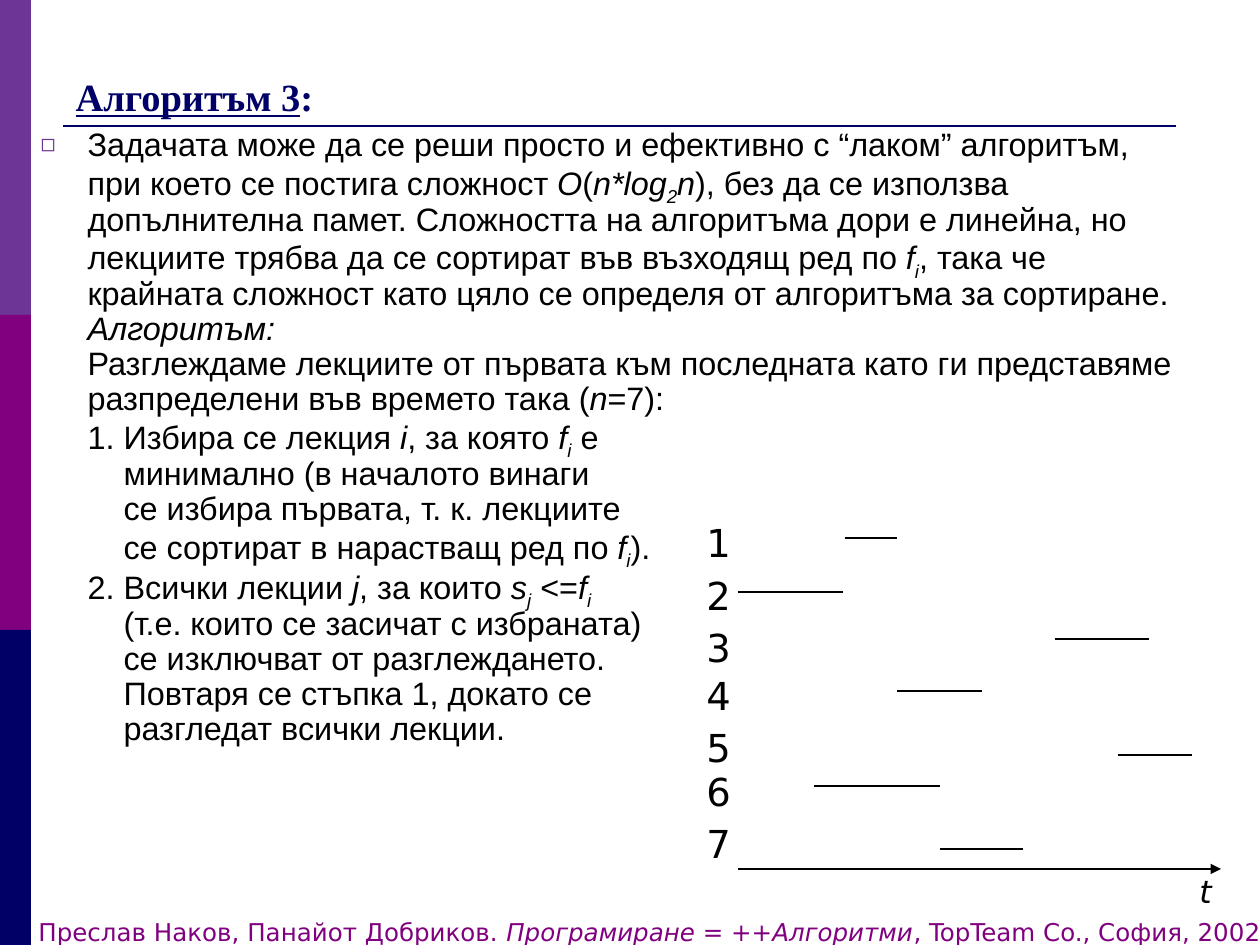
import pptx
import pptx.util
import pptx.dml.color
import pptx.enum.shapes
import pptx.enum.text
import pptx.oxml.ns
import lxml.etree

PX = 914400 / 126
COLORS = {"violet": "6D3696", "purple": "800080", "navy": "000066", "black": "000000"}
ANCHOR = pptx.enum.text.MSO_ANCHOR
LEFT = pptx.enum.text.PP_ALIGN.LEFT
LINE = pptx.enum.shapes.MSO_CONNECTOR.STRAIGHT
RECTANGLE = pptx.enum.shapes.MSO_SHAPE.RECTANGLE
qn = pptx.oxml.ns.qn


def write(paragraph, pieces, size, font, color):
    for text, style in pieces:
        for index, part in enumerate(text.split("\n")):
            if index:
                paragraph.add_line_break()
            if not part:
                continue
            run = paragraph.add_run()
            run.text = part
            run.font.size = pptx.util.Pt(size)
            run.font.name = font
            run.font.color.rgb = pptx.dml.color.RGBColor.from_string(COLORS[color])
            run.font.bold = "b" in style
            run.font.italic = "i" in style
            run.font.underline = "u" in style
            if "_" in style:
                run.font._element.set("baseline", "-25000")


def draw_line(shapes, x1, y1, x2, y2, color, width):
    line = shapes.add_connector(LINE, *(round(v * PX) for v in (x1, y1, x2, y2)))
    line.line.color.rgb = pptx.dml.color.RGBColor.from_string(COLORS[color])
    line.line.width = pptx.util.Pt(width)
    lxml.etree.SubElement(line._element.spPr, qn("a:effectLst"))
    return line


deck = pptx.Presentation()
deck.slide_width = round(1260 * PX)
deck.slide_height = round(945 * PX)
slide = deck.slides.add_slide(deck.slide_layouts[1])

for row, color in enumerate(("violet", "purple", "navy")):
    band = slide.shapes.add_shape(
        RECTANGLE, 0, round(315 * row * PX), round(31 * PX), round(315 * PX))
    band.shadow.inherit = False
    band.fill.solid()
    band.fill.fore_color.rgb = pptx.dml.color.RGBColor.from_string(COLORS[color])
    band.line.fill.background()
draw_line(slide.shapes, 63, 126, 1176, 126, "navy", 1.5)

title = slide.shapes.title
body = slide.placeholders[1]
for holder, box, anchor in (
    (title, (63, 38, 1134, 88), ANCHOR.BOTTOM),
    (body, (28, 122, 1169, 781), ANCHOR.TOP),
):
    holder.left, holder.top, holder.width, holder.height = (round(v * PX) for v in box)
    holder.text_frame.vertical_anchor = anchor
    holder.text_frame.word_wrap = True
    holder.text_frame.auto_size = pptx.enum.text.MSO_AUTO_SIZE.NONE

heading = title.text_frame.paragraphs[0]
heading.alignment = LEFT
write(heading, [("Алгоритъм 3", "bu"), (":", "b")], 22, "Times New Roman", "navy")

explanation = [
    ("square", 47, -47, [
        ("Задачата може да се реши просто и ефективно с “лаком” алгоритъм, "
         "при което се постига сложност ", ""),
        ("O", "i"), ("(", ""), ("n*log", "i"), ("2", "i_"), ("n", "i"),
        ("), без да се използва допълнителна памет. Сложността на алгоритъма "
         "дори е линейна, но лекциите трябва да се сортират във възходящ ред по ", ""),
        ("f", "i"), ("i", "i_"),
        (", така че крайната сложност като цяло се определя от алгоритъма "
         "за сортиране.", "")]),
    ("none", 47, 0, [("Алгоритъм:", "i")]),
    ("none", 47, 0, [
        ("Разглеждаме лекциите от първата към последната като ги представяме "
         "разпределени във времето така (", ""),
        ("n", "i"), ("=7):", "")]),
    ("number", 83, -36, [
        ("Избира се лекция ", ""), ("i", "i"), (", за която ", ""),
        ("f", "i"), ("i", "i_"),
        (" е\nминимално (в началото винаги\nсе избира първата, т. к. лекциите\n"
         "се сортират в нарастващ ред по ", ""),
        ("f", "i"), ("i", "i_"), (").", "")]),
    ("number", 83, -36, [
        ("Всички лекции ", ""), ("j", "i"), (", за които ", ""),
        ("s", "i"), ("j", "i_"), (" <=", ""), ("f", "i"), ("i", "i_"),
        ("\n(т.е. които се засичат с избраната)\nсе изключват от разглеждането.\n"
         "Повтаря се стъпка 1, докато се\nразгледат всички лекции.", "")]),
]
for index, (marker, margin, indent, pieces) in enumerate(explanation):
    paragraph = body.text_frame.add_paragraph() if index else body.text_frame.paragraphs[0]
    paragraph.alignment = LEFT
    paragraph.line_spacing = 0.9
    paragraph.space_before = pptx.util.Pt(0)
    properties = paragraph._p.get_or_add_pPr()
    properties.set("marL", str(round(margin * PX)))
    properties.set("indent", str(round(indent * PX)))
    if marker == "square":
        tint = lxml.etree.SubElement(properties, qn("a:buClr"))
        lxml.etree.SubElement(tint, qn("a:srgbClr"), val=COLORS["violet"])
        lxml.etree.SubElement(properties, qn("a:buSzPct"), val="75000")
        lxml.etree.SubElement(properties, qn("a:buChar"), char="◻")
    elif marker == "number":
        lxml.etree.SubElement(properties, qn("a:buFont"), typeface="Arial")
        lxml.etree.SubElement(properties, qn("a:buAutoNum"), type="arabicPeriod")
    else:
        lxml.etree.SubElement(properties, qn("a:buNone"))
    write(paragraph, pieces, 18.5, "Arial", "black")

timeline = slide.shapes.add_group_shape().shapes
lectures = [
    (513, 845, 897, 538),
    (566, 738, 843, 592),
    (618, 1055, 1149, 639),
    (666, 897, 982, 691),
    (718, 1118, 1192, 755),
    (762, 814, 940, 786),
    (814, 940, 1023, 849),
]
captions = []
for number, (label_top, start, finish, level) in enumerate(lectures, 1):
    draw_line(timeline, start, level, finish, level, "black", 0.75)
    captions.append((timeline, (694, label_top, 53, 59), [(str(number), "")], 22, "black"))

axis = draw_line(timeline, 738, 869, 1221, 869, "black", 0.75)
lxml.etree.SubElement(axis.line._get_or_add_ln(), qn("a:tailEnd"), type="triangle")
captions.append((timeline, (1187, 866, 42, 50), [("t", "i")], 18, "black"))
captions.append((slide.shapes, (26, 911, 1260, 43), [
    ("Преслав Наков, Панайот Добриков. ", ""),
    ("Програмиране = ++Алгоритми", "i"),
    (", TopTeam Co., София, 2002", "")], 14, "purple"))

for shapes, box, pieces, size, color in captions:
    caption = shapes.add_textbox(*(round(v * PX) for v in box))
    caption.text_frame.word_wrap = True
    write(caption.text_frame.paragraphs[0], pieces, size, "DejaVu Sans", color)

deck.save("out.pptx")
